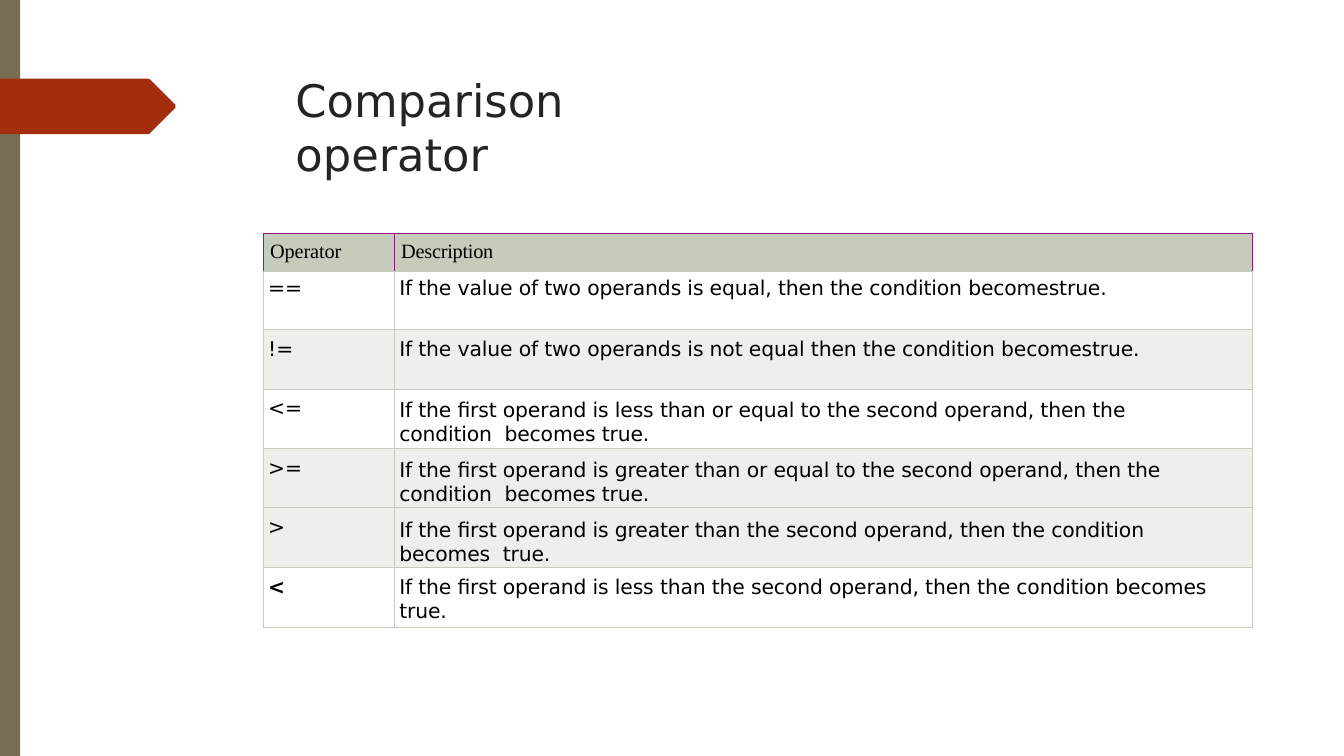
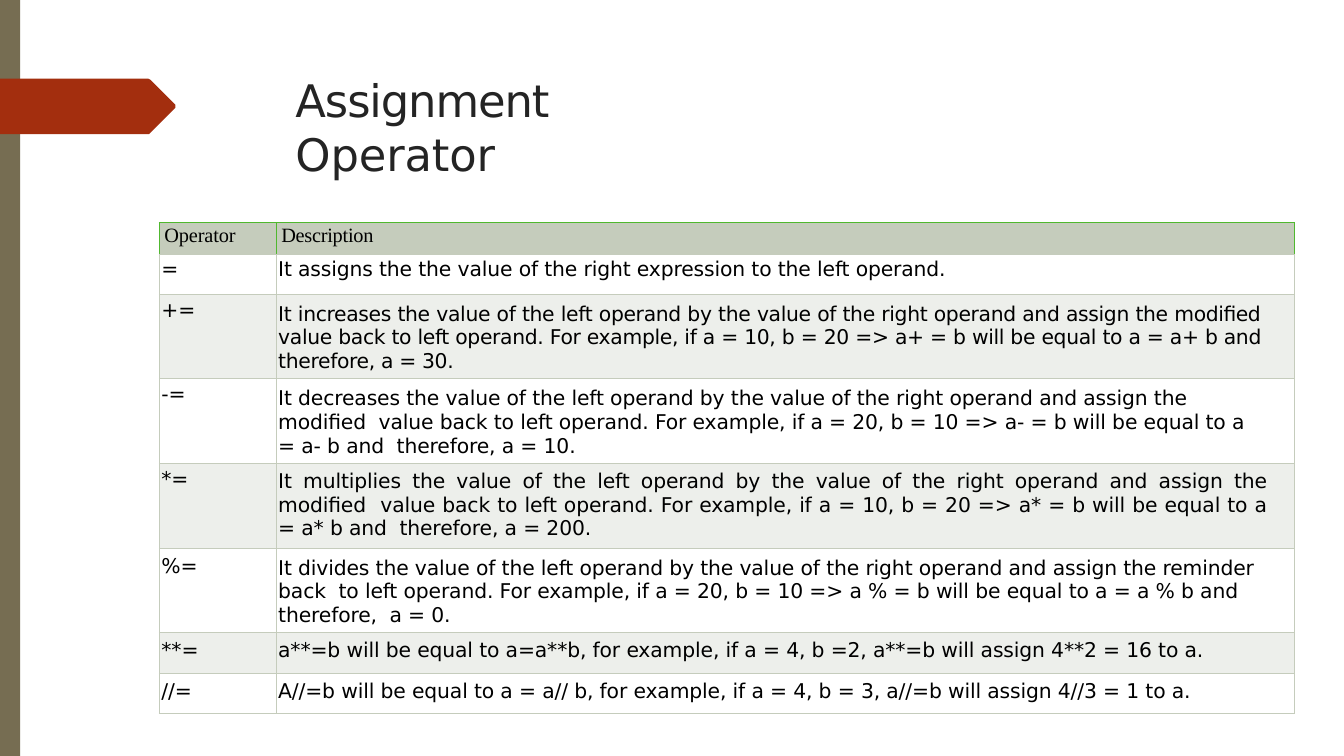
from pptx import Presentation
from pptx.dml.color import RGBColor
from pptx.enum.shapes import MSO_SHAPE as Shape
from pptx.enum.text import PP_ALIGN as Align
from pptx.oxml.ns import qn
from pptx.util import Inches, Pt
from lxml.etree import SubElement as Sub

SANS, SERIF = "DejaVu Sans", "Times New Roman"
WHITE, BLACK, INK = "FFFFFF", "000000", "242424"
OLIVE, RUST = "766D52", "A32E0E"
GREY, PALE = "C5CCBC", "EDEFEB"
PURPLE, GREEN = "90177B", "50B82F"
HEAD = ("Operator", "Description")

COMPARE = [
    dict(mark="==", text="If the value of two operands is equal, then the condition becomestrue.",
         high=0.58, pads=(0.06, 0.06)),
    dict(mark="!=", text="If the value of two operands is not equal then the condition becomestrue.",
         fill=PALE, pads=(0.08, 0.08)),
    dict(mark="<=", text="If the first operand is less than or equal to the second operand, "
         "then the condition  becomes true.", pads=(0.08, 0.1), right=0.4),
    dict(mark=">=", text="If the first operand is greater than or equal to the second operand, "
         "then the condition  becomes true.", fill=PALE, pads=(0.08, 0.1), right=0.4),
    dict(mark=">", text="If the first operand is greater than the second operand, "
         "then the condition becomes  true.", fill=PALE, pads=(0.08, 0.11), right=0.4),
    dict(mark="<", text="If the first operand is less than the second operand, "
         "then the condition becomes true.", pads=(0.08, 0.08), bold=True),
]

ASSIGN = [
    dict(mark="=", text="It assigns the the value of the right expression to the left operand.",
         high=0.4, pads=(0.04, 0.04)),
    dict(mark="+=", text="It increases the value of the left operand by the value of the right operand "
         "and assign the modified  value back to left operand. For example, if a = 10, b = 20 => "
         "a+ = b will be equal to a = a+ b and  therefore, a = 30.",
         fill=PALE, pads=(0.04, 0.08), right=0.28, align=Align.JUSTIFY, gap=-0.25),
    dict(mark="-=", text="It decreases the value of the left operand by the value of the right operand "
         "and assign the modified  value back to left operand. For example, if a = 20, b = 10 => "
         "a- = b will be equal to a = a- b and  therefore, a = 10.",
         pads=(0.04, 0.08), right=0.28),
    dict(mark="*=", text="It multiplies the value of the left operand by the value of the right operand "
         "and assign the modified  value back to left operand. For example, if a = 10, b = 20 => "
         "a* = b will be equal to a = a* b and  therefore, a = 200.",
         fill=PALE, pads=(0.04, 0.06), right=0.28, align=Align.JUSTIFY),
    dict(mark="%=", text="It divides the value of the left operand by the value of the right operand "
         "and assign the reminder back  to left operand. For example, if a = 20, b = 10 => "
         "a % = b will be equal to a = a % b and therefore,  a = 0.",
         pads=(0.06, 0.08), right=0.28),
    dict(mark="**=", text="a**=b will be equal to a=a**b, for example, if a = 4, b =2, "
         "a**=b will assign 4**2 = 16 to a.", fill=PALE, high=0.4, pads=(0.06, 0.06)),
    dict(mark="//=", text="A//=b will be equal to a = a// b, for example, if a = 4, b = 3, "
         "a//=b will assign 4//3 = 1 to a.", high=0.4, pads=(0.06, 0.06)),
]


def paint(item, color):
    """Give a fill or a font one solid colour."""
    if hasattr(item, "solid"):
        item.solid()
        item.fore_color.rgb = RGBColor.from_string(color)
    else:
        item.color.rgb = RGBColor.from_string(color)


def style(run, size, face, color, gap, bold=False):
    """Set the font and the letter spacing of a run."""
    font = run.font
    font.size, font.name, font.bold = Pt(size), face, bold
    paint(font, color)
    run._r.get_or_add_rPr().set("spc", str(round(gap * 100)))


def plain(shape, color):
    """Fill a shape, without line or shadow."""
    paint(shape.fill, color)
    shape.line.fill.background()
    shape.shadow.inherit = False


def add_frame(slide):
    """Draw the side band and the arrow tab."""
    band = slide.shapes.add_shape(Shape.RECTANGLE, 0, 0, Inches(0.2), Inches(7.5))
    plain(band, OLIVE)
    pen = slide.shapes.build_freeform(0, Inches(0.78))
    edge = [(1.47, 0.78), (1.49, 0.79), (1.74, 1.04), (1.74, 1.07), (1.48, 1.33), (0, 1.33)]
    pen.add_line_segments([(Inches(x), Inches(y)) for x, y in edge])
    plain(pen.convert_to_shape(), RUST)


def add_title(slide, parts, wide):
    """Write the title from pairs of text and letter spacing."""
    box = slide.shapes.add_textbox(Inches(2.92), Inches(0.71), Inches(wide), Inches(0.56))
    frame = box.text_frame
    frame.word_wrap = True
    frame.margin_left = frame.margin_top = Inches(0.01)
    frame.margin_right = frame.margin_bottom = 0
    para = frame.paragraphs[0]
    para.space_before = Pt(1.1)
    for text, gap in parts:
        run = para.add_run()
        run.text = text
        style(run, 32, SANS, INK, gap)


def add_edges(cell, colors):
    """Draw the left, right, top and bottom borders of a cell."""
    props = cell._tc.get_or_add_tcPr()
    for side, color in zip("LRTB", colors):
        line = Sub(props, qn("a:ln" + side), w=str(Pt(0.75)))
        Sub(Sub(line, qn("a:solidFill")), qn("a:srgbClr"), val=color)


def fill_cell(cell, text, face, fill, edges, left, top, right=0, gap=-0.1,
              align=Align.LEFT, bold=False):
    """Write and style one cell."""
    add_edges(cell, edges)
    paint(cell.fill, fill)
    cell.margin_left, cell.margin_top = Inches(left), Inches(top)
    cell.margin_right, cell.margin_bottom = Inches(right), 0
    cell.text_frame.text = text
    para = cell.text_frame.paragraphs[0]
    para.alignment = align
    style(para.runs[0], 14.5, face, BLACK, gap, bold)


def add_grid(slide, rows, box, cols, tall, head, accent, indent):
    """Draw a table of operators in a box, with the head as height, indent and pad."""
    shape = slide.shapes.add_table(len(rows) + 1, 2, *map(Inches, box))
    grid = shape.table
    grid.first_row = grid.horz_banding = False
    for col, wide in zip(grid.columns, cols):
        col.width = Inches(wide)
    high, left, pad = head
    grid.rows[0].height = Inches(high)
    for c, text in enumerate(HEAD):
        fill_cell(grid.cell(0, c), text, SERIF, GREY, [accent] * 3 + [GREY], left, pad,
                  gap=-0.1 - 0.1 * c)
    for r, row in enumerate(rows, 1):
        grid.rows[r].height = Inches(row.get("high", tall))
        fill, edges = row.get("fill", WHITE), [GREY] * 4
        mark, text = row["pads"]
        fill_cell(grid.cell(r, 0), row["mark"], SANS, fill, edges, indent, mark,
                  gap=0, bold=row.get("bold", False))
        fill_cell(grid.cell(r, 1), row["text"], SANS, fill, edges, indent, text,
                  row.get("right", 0), row.get("gap", -0.1), row.get("align", Align.LEFT))


def add_page(deck, title, wide, **grid):
    """Add a slide with frame, title and table."""
    slide = deck.slides.add_slide(deck.slide_layouts[6])
    add_frame(slide)
    add_title(slide, title, wide)
    add_grid(slide, **grid)


def main():
    """Build and save the deck."""
    deck = Presentation()
    deck.slide_width, deck.slide_height = Inches(13.33), Inches(7.5)
    add_page(deck, [("Comparison operator", 0)], 4.68, rows=COMPARE,
             box=(2.61, 2.32, 9.81, 3.9), cols=(1.3, 8.51), tall=0.59,
             head=(0.37, 0.07, 0.06), accent=PURPLE, indent=0.05)
    add_page(deck, [("Assignment ", -0.8), ("Operator", -0.1)], 4.58, rows=ASSIGN,
             box=(1.58, 2.21, 11.26, 4.87), cols=(1.16, 10.1), tall=0.84,
             head=(0.31, 0.05, 0.02), accent=GREEN, indent=0.02)
    deck.save("out.pptx")


if __name__ == "__main__":
    main()
